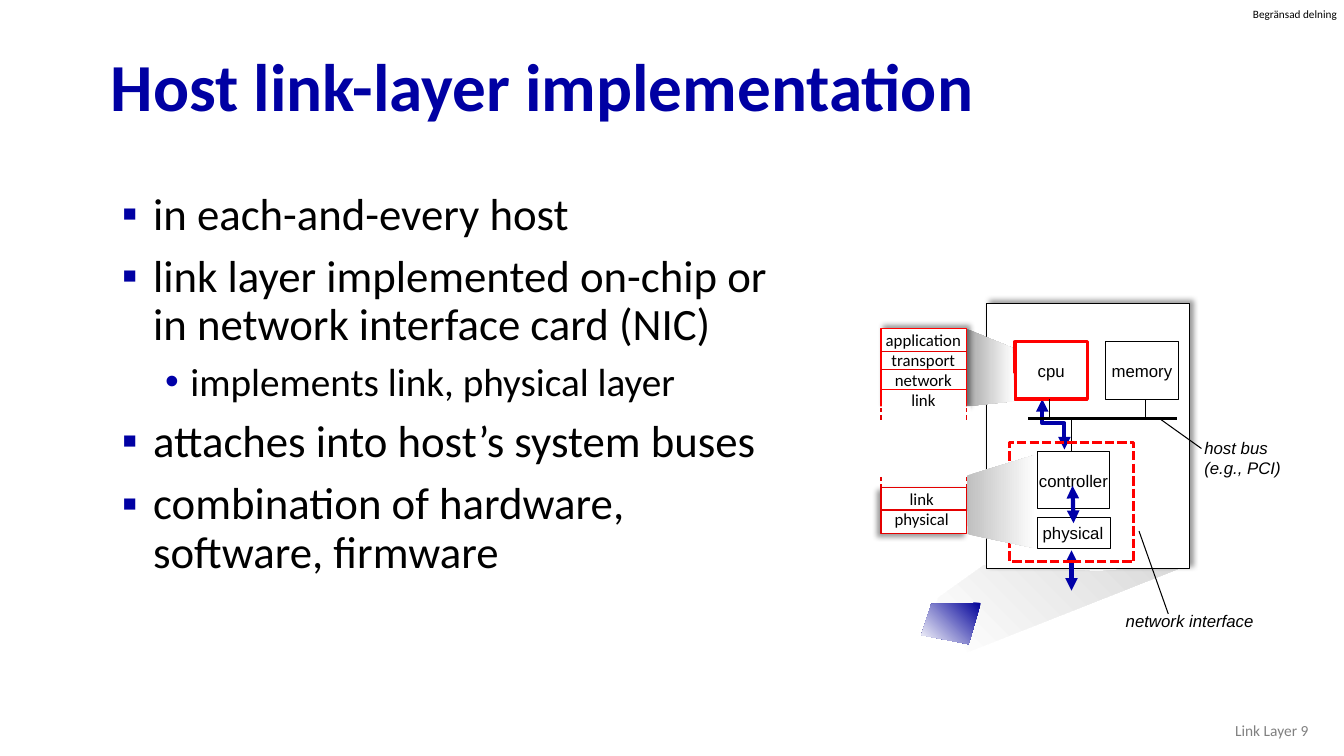
import pptx
import pptx.util
import pptx.dml.color
import pptx.enum.dml
import pptx.enum.shapes
import pptx.enum.text
import pptx.oxml
import pptx.oxml.ns
from lxml import etree

Pt = pptx.util.Pt
ALIGN = pptx.enum.text.PP_ALIGN
ANCHOR = pptx.enum.text.MSO_ANCHOR
DASH = pptx.enum.dml.MSO_LINE

COLORS = {
    "black": "000000", "white": "FFFFFF", "title": "0000A3", "arrow": "0000A8",
    "red": "FF0000", "layer": "E40000", "footer": "808080", "chip": "000099",
    "pale": "D9D9D9", "light": "BFBFBF", "mid": "A6A6A6",
}
LAYER_LEFT, LAYER_RIGHT = 629.3, 690.5
LAYER_WIDTH = LAYER_RIGHT - LAYER_LEFT
BUS_Y = 298.8


def rgb(name):
    return pptx.dml.color.RGBColor.from_string(COLORS[name])


def add_xml(parent, tag, **attributes):
    return etree.SubElement(parent, pptx.oxml.ns.qn(tag), attributes)


def style_line(line, color, width, dash=None, arrows=False):
    line.color.rgb = rgb(color)
    line.width = Pt(width)
    if dash:
        line.dash_style = dash
    if arrows:
        outline = line._get_or_add_ln()
        add_xml(outline, "a:headEnd", type="triangle")
        add_xml(outline, "a:tailEnd", type="triangle")


def add_run(paragraph, text, size, font="Calibri", color="black", bold=False, italic=False):
    run = paragraph.add_run()
    run.text = text
    run.font.size = Pt(size)
    run.font.name = font
    run.font.color.rgb = rgb(color)
    run.font.bold = bold
    run.font.italic = italic


def add_text(shapes, area, lines, size, align=ALIGN.LEFT, anchor=ANCHOR.TOP,
             wrap=False, inset=True, spacing=None, **font):
    frame = shapes.add_textbox(*map(Pt, area)).text_frame
    frame.word_wrap = wrap
    frame.vertical_anchor = anchor
    if not inset:
        frame.margin_left = frame.margin_right = frame.margin_top = frame.margin_bottom = 0
    for index, line in enumerate(lines):
        paragraph = frame.add_paragraph() if index else frame.paragraphs[0]
        paragraph.alignment = align
        if spacing:
            paragraph.line_spacing = spacing
        add_run(paragraph, line, size, **font)


def add_bullets(shapes, area, items):
    frame = shapes.add_textbox(*map(Pt, area)).text_frame
    frame.word_wrap = True
    levels = [("▪", "title", 28.1, -22.3, 32, 10, 0.9), ("•", "arrow", 54.7, -18, 28, 5, 1.0)]
    for index, (level, text) in enumerate(items):
        mark, color, margin, indent, size, before, spacing = levels[level]
        paragraph = frame.add_paragraph() if index else frame.paragraphs[0]
        paragraph.level = level
        paragraph.line_spacing = spacing
        paragraph.space_before = Pt(before if index else 0)
        properties = paragraph._p.get_or_add_pPr()
        properties.set("marL", str(Pt(margin)))
        properties.set("indent", str(Pt(indent)))
        add_xml(add_xml(properties, "a:buClr"), "a:srgbClr", val=COLORS[color])
        add_xml(properties, "a:buFont", typeface="Arial")
        add_xml(properties, "a:buChar", char=mark)
        add_run(paragraph, text, size)


def add_shadow(shape, direction):
    effects = shape._element.spPr.find(pptx.oxml.ns.qn("a:effectLst"))
    shadow = add_xml(effects, "a:outerShdw", blurRad=str(Pt(4)), dist=str(Pt(3)),
                     dir=str(direction * 60000), algn="ctr", rotWithShape="0")
    add_xml(add_xml(shadow, "a:srgbClr", val=COLORS["black"]), "a:alpha", val="40000")


def add_box(shapes, area, label=None, line="black", width=0.75, fill="white",
            dash=None, shadow=None):
    box = shapes.add_shape(pptx.enum.shapes.MSO_SHAPE.RECTANGLE, *map(Pt, area))
    box.shadow.inherit = False
    if fill:
        box.fill.solid()
        box.fill.fore_color.rgb = rgb(fill)
    else:
        box.fill.background()
    if line:
        style_line(box.line, line, width, dash)
    else:
        box.line.fill.background()
    if shadow is not None:
        add_shadow(box, shadow)
    if label:
        frame = box.text_frame
        frame.word_wrap = False
        frame.vertical_anchor = ANCHOR.MIDDLE
        frame.paragraphs[0].alignment = ALIGN.CENTER
        add_run(frame.paragraphs[0], label, 12, "Arial")


def add_line(shapes, x1, y1, x2, y2, color="black", width=0.75, dash=None, arrows=False):
    connector = shapes.add_connector(pptx.enum.shapes.MSO_CONNECTOR.STRAIGHT,
                                     *map(Pt, (x1, y1, x2, y2)))
    style_line(connector.line, color, width, dash, arrows)
    add_xml(connector._element.spPr, "a:effectLst")


def add_outline(shapes, points, close):
    corners = [(Pt(x), Pt(y)) for x, y in points]
    builder = shapes.build_freeform(*corners[0])
    builder.add_line_segments(corners[1:], close=close)
    outline = builder.convert_to_shape()
    outline.shadow.inherit = False
    return outline


def add_gradient(shapes, points, start, end, clockwise):
    area = add_outline(shapes, points, True)
    area.line.fill.background()
    area.fill.gradient()
    area.fill.gradient_angle = (360 - clockwise) % 360
    for stop, color, position in zip(area.fill.gradient_stops, (start, end), (0, 1)):
        stop.color.rgb = rgb(color)
        stop.position = position


def add_host(shapes):
    add_gradient(shapes, [(668.2, 432.7), (670.3, 427), (702.7, 403.9), (784.1, 408.2),
                          (849.6, 403.2), (691.2, 465.8)], "white", "pale", 315)
    add_box(shapes, (704.9, 216.7, 144.7, 189.4), shadow=315)
    add_box(shapes, (740.9, 369.4, 52.6, 22.3))
    add_box(shapes, (740.9, 322.6, 51.8, 41), "controller")
    add_text(shapes, (737.3, 370.1, 58.3, 36), ["physical"], 12, ALIGN.CENTER, font="Arial")
    bus_arrow = add_outline(shapes, [(744.5, 285.1), (744.5, 302.4), (760.3, 302.4),
                                     (760.3, 321.1)], False)
    bus_arrow.fill.background()
    style_line(bus_arrow.line, "arrow", 3, arrows=True)
    add_line(shapes, 734.4, BUS_Y, 841, BUS_Y, width=2.25)
    add_line(shapes, 765.4, 322.6, 765.4, BUS_Y)
    add_box(shapes, (725, 244.1, 51.8, 41), "cpu", "red", 2.25)
    add_box(shapes, (789.8, 244.1, 51.8, 41), "memory")
    for x in (749.5, 817.9):
        add_line(shapes, x, BUS_Y, x, 285.1)
    add_text(shapes, (853.2, 308.9, 82.1, 36), ["host bus", "(e.g., PCI)"], 12,
             wrap=True, font="Arial", italic=True)
    add_line(shapes, 766.1, 347, 766.8, 373.7, "arrow", 3, arrows=True)
    add_line(shapes, 765.4, 393.1, 765.4, 421.9, "arrow", 3, arrows=True)
    add_line(shapes, 858.2, 320.4, 828, BUS_Y)
    add_text(shapes, (797, 432.7, 106.6, 21.6), ["network interface"], 12,
             font="Arial", italic=True)
    add_line(shapes, 834.5, 438.5, 813.6, 379.4)
    add_box(shapes, (721.4, 316.1, 88.6, 85), line="red", width=2.25, fill=None,
            dash=DASH.SQUARE_DOT)


def add_layer_stacks(shapes):
    add_gradient(shapes, [(740.2, 324.7), (690.5, 339.8), (691.2, 381.6), (740.2, 391.7)],
                 "light", "white", 0)
    add_box(shapes, (LAYER_LEFT, 348.5, LAYER_WIDTH, 32.4), line="layer", shadow=135)
    add_gradient(shapes, [(722.9, 248.4), (689.8, 234.7), (690.5, 290.2), (724.3, 286.6)],
                 "mid", "white", 0)
    add_box(shapes, (LAYER_LEFT, 234.7, LAYER_WIDTH, 57.6), line="red", width=1, shadow=315)
    add_text(shapes, (625, 231.8, 69.1, 65.5),
             ["application", "transport", "network", "link"], 12, ALIGN.CENTER)
    add_box(shapes, (624.2, 290.2, 69.1, 14.4), line=None)
    add_text(shapes, (631.4, 345.6, 54, 36.7), ["link", "physical"], 12, ALIGN.CENTER)
    for y, color in ((251.3, "layer"), (264.2, "layer"), (277.9, "red"), (364.3, "layer")):
        add_line(shapes, LAYER_LEFT, y, LAYER_RIGHT, y, color)
    for x in (LAYER_LEFT, LAYER_RIGHT):
        for top, bottom in ((291.6, 300.2), (340.6, 348.5)):
            add_line(shapes, x, top, x, bottom, "layer", dash=DASH.DASH)


def main():
    deck = pptx.Presentation()
    deck.slide_width, deck.slide_height = Pt(960), Pt(540)
    shapes = deck.slides.add_slide(deck.slide_layouts[6]).shapes
    add_text(shapes, (895, 5, 61.9, 9.4), ["Begränsad delning"], 8, inset=False)
    add_text(shapes, (72, 28.8, 828, 70.6), ["Host link-layer implementation"], 48,
             anchor=ANCHOR.MIDDLE, wrap=True, spacing=0.9, color="title", bold=True)
    add_bullets(shapes, (74.2, 133.2, 486.7, 367.2), [
        (0, "in each-and-every host"),
        (0, "link layer implemented on-chip or in network interface card (NIC)"),
        (1, "implements link, physical layer"),
        (0, "attaches into host’s system buses"),
        (0, "combination of hardware, software, firmware"),
    ])
    add_host(shapes)
    add_layer_stacks(shapes.add_group_shape().shapes)
    add_gradient(shapes, [(700.6, 430.6), (665.3, 431.3), (658.1, 453.6), (691.9, 460.1)],
                 "chip", "white", 135)
    add_text(shapes, (725.8, 507.6, 216, 28.8), ["Link Layer 9"], 11, ALIGN.RIGHT,
             ANCHOR.MIDDLE, wrap=True, color="footer")
    deck.save("out.pptx")


if __name__ == "__main__":
    main()
